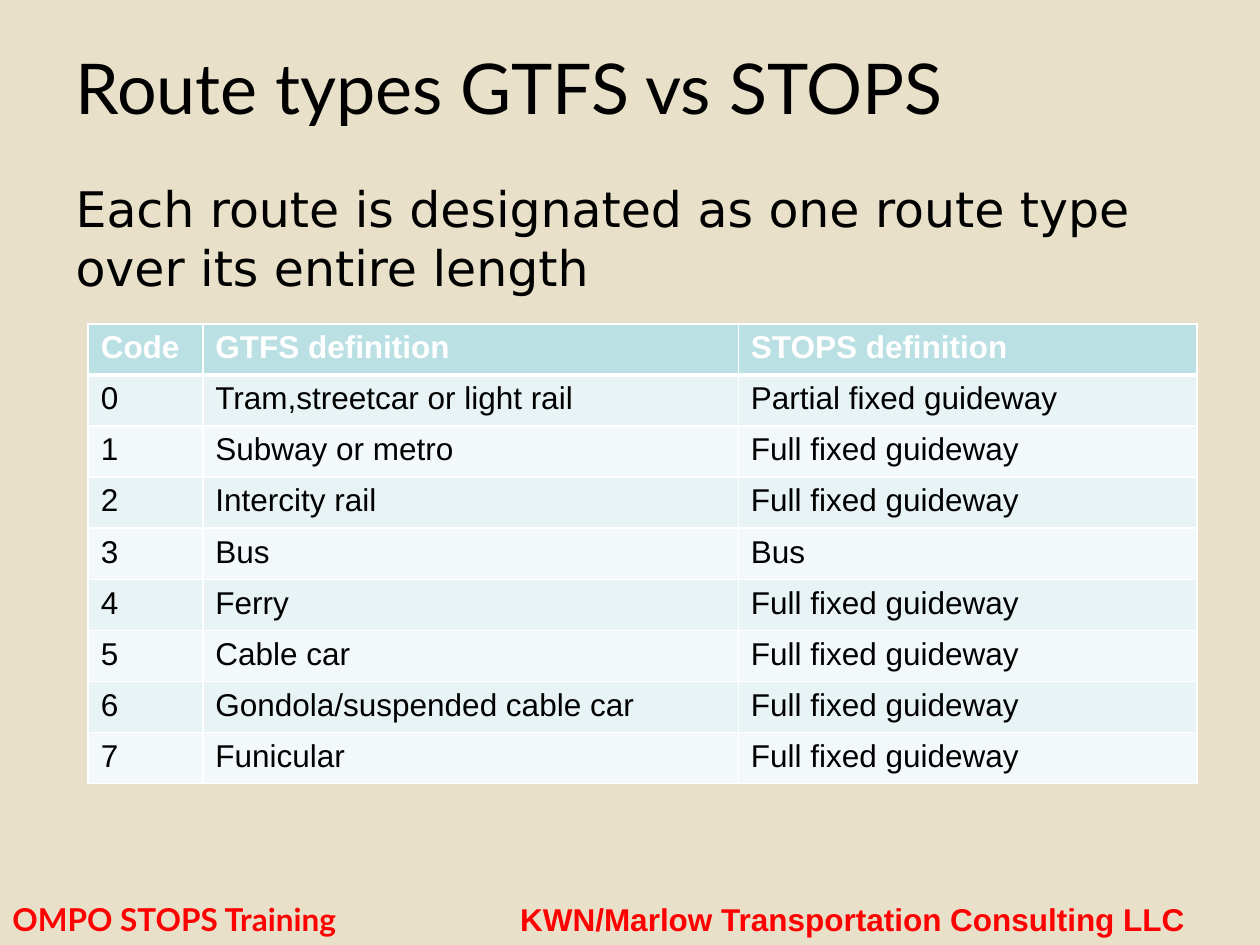
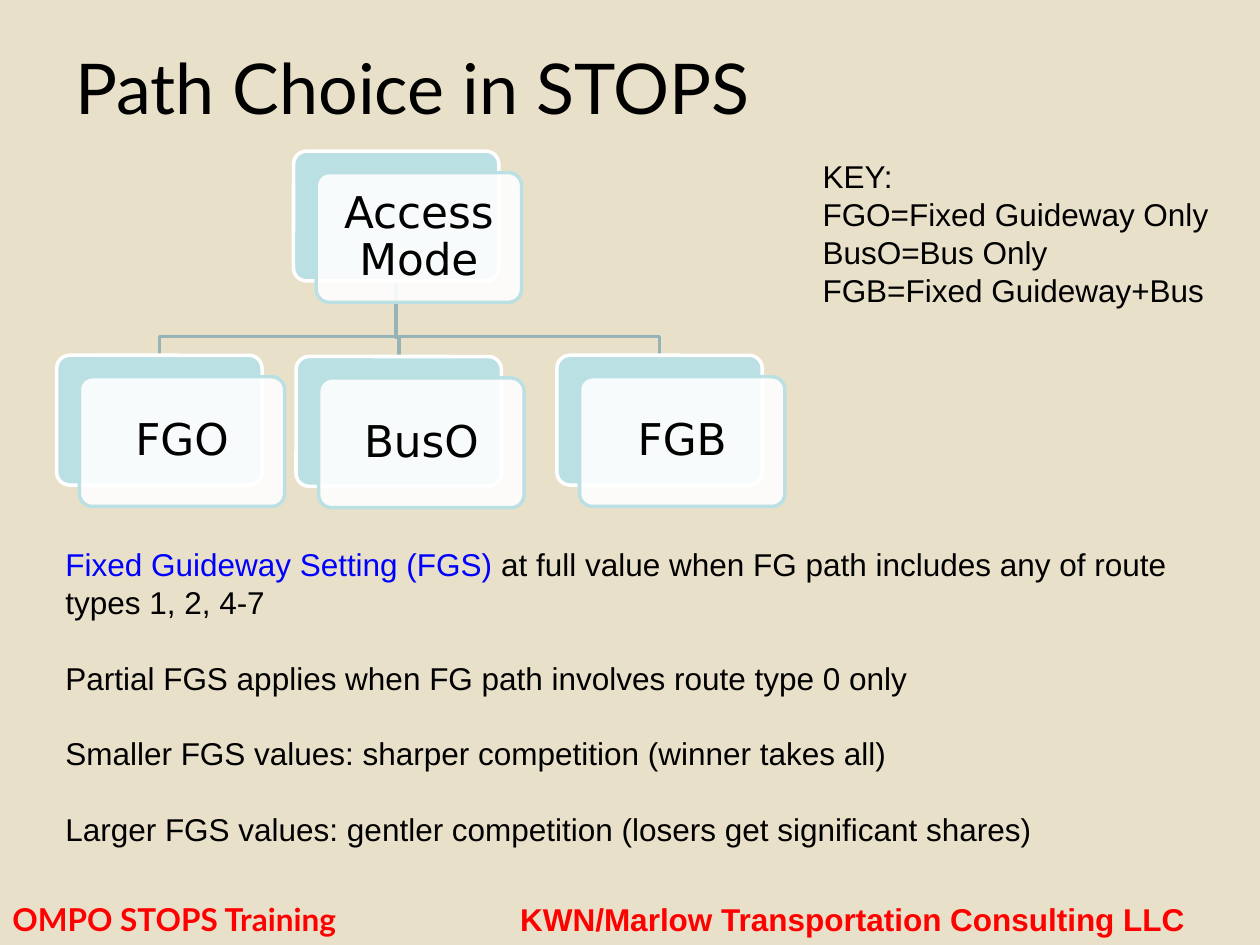
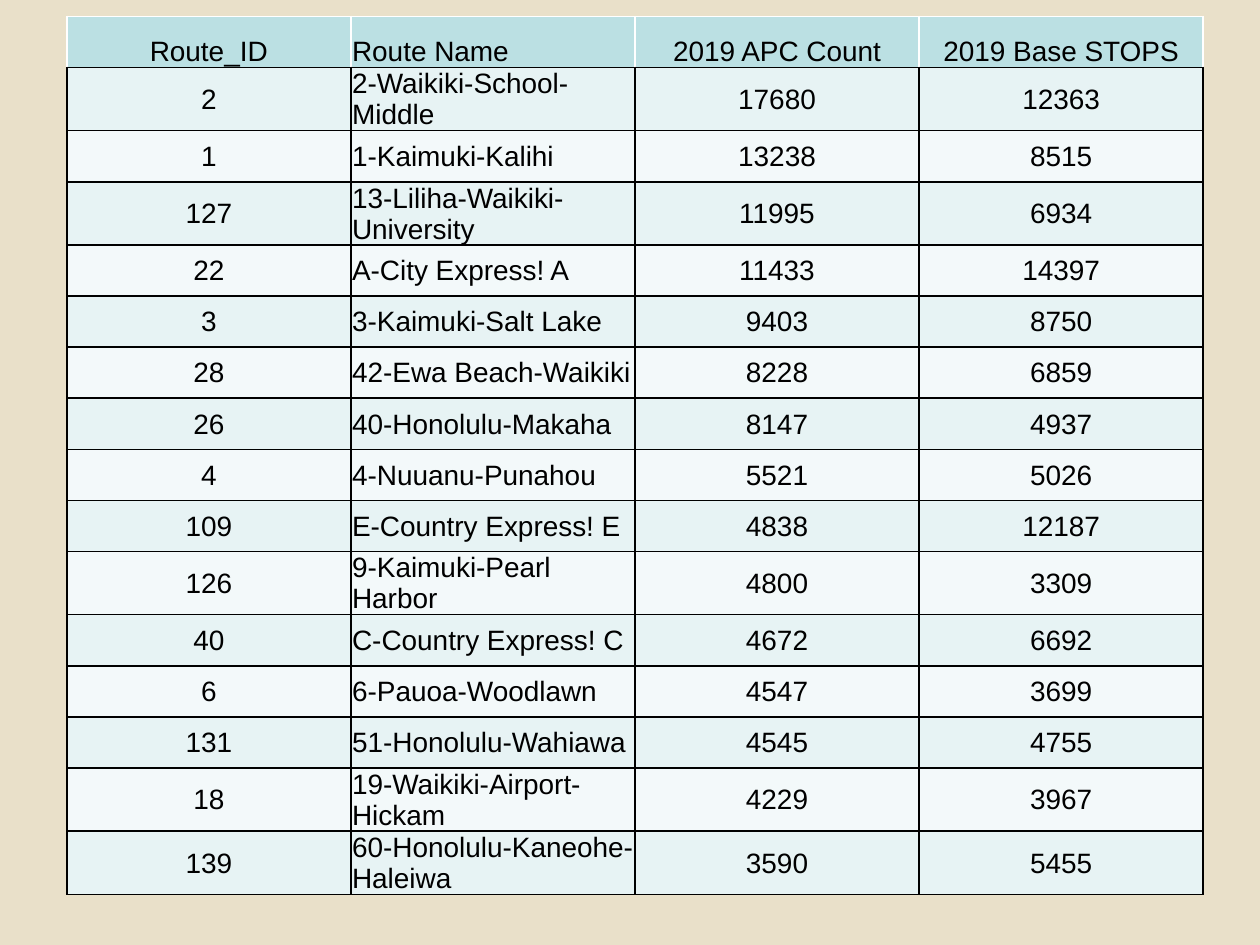
import lxml.etree
import pptx
import pptx.dml.color
import pptx.enum.shapes
import pptx.enum.text
import pptx.oxml.ns
import pptx.util

Inches = pptx.util.Inches
Pt = pptx.util.Pt
RGBColor = pptx.dml.color.RGBColor
Align = pptx.enum.text.PP_ALIGN
Anchor = pptx.enum.text.MSO_ANCHOR
qn = pptx.oxml.ns.qn

# Colours
SAND = RGBColor(0xE9, 0xE0, 0xC9)
BLACK = RGBColor(0, 0, 0)
WHITE = RGBColor(0xFF, 0xFF, 0xFF)
RED = RGBColor(0xFF, 0, 0)
BLUE = RGBColor(0, 0, 0xFF)
AQUA = RGBColor(0xBB, 0xE0, 0xE3)
BAND_DARK = RGBColor(0xE7, 0xF3, 0xF4)
BAND_LIGHT = RGBColor(0xF3, 0xF9, 0xFA)
TREE_LINE = RGBColor(0x96, 0xB3, 0xB6)

# Text formats
TITLE = {"name": "Lato", "size": Pt(40), "color": BLACK}
LEAD = {"name": "DejaVu Sans", "size": Pt(28), "color": BLACK}
CARD = {"name": "DejaVu Sans", "size": Pt(25), "color": BLACK}
NOTE = {"name": "Arial", "size": Pt(18), "color": BLACK}
TERM = {**NOTE, "color": BLUE}
TABLE_HEAD = {**NOTE, "color": WHITE, "bold": True}
TABLE_CELL = {**NOTE, "bold": False}
ROUTE_CELL = {**TABLE_CELL, "size": Pt(16)}
FOOTER_LEFT = {"name": "Lato", "size": Pt(18), "color": RED, "bold": True}
FOOTER_RIGHT = {**FOOTER_LEFT, "name": "Arial"}

# Content
FOOTER = [("OMPO STOPS Training\t", FOOTER_LEFT),
          ("KWN/Marlow Transportation Consulting LLC", FOOTER_RIGHT)]
ROUTE_TYPES_TITLE = "Route types GTFS vs STOPS"
ROUTE_TYPES_LEAD = "Each route is designated as one route type over its entire length"
ROUTE_TYPES = [
    ("Code", "GTFS definition", "STOPS definition"),
    ("0", "Tram,streetcar or light rail", "Partial fixed guideway"),
    ("1", "Subway or metro", "Full fixed guideway"),
    ("2", "Intercity rail", "Full fixed guideway"),
    ("3", "Bus", "Bus"),
    ("4", "Ferry", "Full fixed guideway"),
    ("5", "Cable car", "Full fixed guideway"),
    ("6", "Gondola/suspended cable car", "Full fixed guideway"),
    ("7", "Funicular", "Full fixed guideway"),
]
PATH_TITLE = "Path Choice in STOPS"
ROOT = ("Access Mode", 2.33, 1.2)
CHOICES = [("FGO", 0.45, 2.82), ("BusO", 2.35, 2.83), ("FGB", 4.42, 2.82)]
KEY = ["KEY:", "FGO=Fixed Guideway Only", "BusO=Bus Only", "FGB=Fixed Guideway+Bus"]
SETTINGS = [
    [("Fixed Guideway Setting (FGS) ", TERM),
     ("at full value when FG path includes any of route types 1, 2, 4-7", NOTE)],
    [("Partial FGS applies when FG path involves route type 0 only", NOTE)],
    [("Smaller FGS values: sharper competition (winner takes all)", NOTE)],
    [("Larger FGS values: gentler competition (losers get significant shares)", NOTE)],
]
ROUTE_COUNTS = [
    ("Route_ID", "Route Name", "2019 APC Count", "2019 Base STOPS"),
    ("2", "2-Waikiki-School-Middle", "17680", "12363"),
    ("1", "1-Kaimuki-Kalihi", "13238", "8515"),
    ("127", "13-Liliha-Waikiki-University", "11995", "6934"),
    ("22", "A-City Express! A", "11433", "14397"),
    ("3", "3-Kaimuki-Salt Lake", "9403", "8750"),
    ("28", "42-Ewa Beach-Waikiki", "8228", "6859"),
    ("26", "40-Honolulu-Makaha", "8147", "4937"),
    ("4", "4-Nuuanu-Punahou", "5521", "5026"),
    ("109", "E-Country Express! E", "4838", "12187"),
    ("126", "9-Kaimuki-Pearl Harbor", "4800", "3309"),
    ("40", "C-Country Express! C", "4672", "6692"),
    ("6", "6-Pauoa-Woodlawn", "4547", "3699"),
    ("131", "51-Honolulu-Wahiawa", "4545", "4755"),
    ("18", "19-Waikiki-Airport-Hickam", "4229", "3967"),
    ("139", "60-Honolulu-Kaneohe-Haleiwa", "3590", "5455"),
]

# Measures in inches
ROW_HEIGHT = 3.65 / 9
CARD_WIDTH, CARD_HEIGHT = 1.63, 1.03
CARD_SHIFT_X, CARD_SHIFT_Y = 0.18, 0.17
BEND_RISE = 0.15

# Line heights
NOTE_LINE = Pt(21.6)
ROUTE_LINE = Pt(17.7)


def set_values(target, values):
    for name, value in values.items():
        setattr(target, name, value)


def add_spans(para, spans):
    for text, style in spans:
        span = para.add_run()
        span.text = text
        for name, value in style.items():
            if name == "color":
                span.font.color.rgb = value
            else:
                setattr(span.font, name, value)


def move(shape, left, top, width, height):
    set_values(shape, {"left": Inches(left), "top": Inches(top),
                       "width": Inches(width), "height": Inches(height)})


def add_box(page, place, paragraphs, wrap=True, **para_format):
    box = page.shapes.add_textbox(*map(Inches, place))
    frame = box.text_frame
    frame.word_wrap = wrap
    gap = para_format.pop("gap", Pt(0))
    for index, spans in enumerate(paragraphs):
        para = frame.add_paragraph() if index else frame.paragraphs[0]
        set_values(para, para_format)
        para.space_before = gap if index else Pt(0)
        add_spans(para, spans)
    return box


def add_title(page, text):
    title = page.shapes.title
    move(title, 0.5, 0.3, 9, 0.9)
    set_values(title.text_frame, {"vertical_anchor": Anchor.TOP,
                                  "auto_size": pptx.enum.text.MSO_AUTO_SIZE.NONE})
    para = title.text_frame.paragraphs[0]
    para.alignment = Align.LEFT
    add_spans(para, [(text, TITLE)])


def add_footer(page):
    box = add_box(page, (0, 7.09, 10, 0.4), [FOOTER])
    properties = box.text_frame.paragraphs[0]._p.get_or_add_pPr()
    tabs = lxml.etree.SubElement(properties, qn("a:tabLst"))
    lxml.etree.SubElement(tabs, qn("a:tab"), pos=str(Inches(4.03)), algn="l")


def set_borders(cell, edges):
    properties = cell._tc.get_or_add_tcPr()
    for side in "LRTB":
        color, points = edges[side]
        line = lxml.etree.SubElement(properties, qn("a:ln" + side), w=str(Pt(points)))
        fill = lxml.etree.SubElement(line, qn("a:solidFill"))
        lxml.etree.SubElement(fill, qn("a:srgbClr"), val=str(color))


def add_grid(page, left, top, widths, rows, border, head_edges, style, head_style,
             centred=(), cell_format=None, head_format=None, line_height=None):
    place = (left, top, sum(widths), ROW_HEIGHT * len(rows))
    table = page.shapes.add_table(len(rows), len(widths), *map(Inches, place)).table
    for column, width in zip(table.columns, widths):
        column.width = Inches(width)
    for row_index, row in enumerate(rows):
        is_head = row_index == 0
        edges = dict.fromkeys("LRTB", border)
        if is_head:
            edges.update(head_edges)
        elif row_index == 1:
            edges["T"] = head_edges["B"]
        for column_index, text in enumerate(row):
            cell = table.cell(row_index, column_index)
            set_borders(cell, edges)
            cell.fill.solid()
            band = BAND_DARK if row_index % 2 else BAND_LIGHT
            cell.fill.fore_color.rgb = AQUA if is_head else band
            set_values(cell, cell_format or {})
            if is_head:
                set_values(cell, head_format or {})
            para = cell.text_frame.paragraphs[0]
            para.alignment = Align.CENTER if column_index in centred else Align.LEFT
            para.line_spacing = line_height
            span_style = head_style if is_head else style
            add_spans(para, [(text, span_style)])
            # The paragraph end takes the text size, so that rows stay tight
            lxml.etree.SubElement(para._p, qn("a:endParaRPr"),
                                  sz=str(int(span_style["size"].pt * 100)))


def add_branch(page, choice):
    """Draw the bent line from the root card to a choice card."""
    _, root_left, root_top = ROOT
    _, left, top = choice
    start, end = root_left + CARD_WIDTH / 2, left + CARD_WIDTH / 2
    bend = top - BEND_RISE
    points = [(start, root_top + CARD_HEIGHT), (start, bend), (end, bend), (end, top)]
    points = [(Inches(x), Inches(y)) for x, y in points]
    builder = page.shapes.build_freeform(*points[0])
    builder.add_line_segments(points[1:], close=False)
    branch = builder.convert_to_shape()
    branch.shadow.inherit = False
    branch.fill.background()
    branch.line.color.rgb = TREE_LINE
    branch.line.width = Pt(2)


def add_plate(page, left, top, fill, line):
    plate = page.shapes.add_shape(
        pptx.enum.shapes.MSO_SHAPE.ROUNDED_RECTANGLE,
        *map(Inches, (left, top, CARD_WIDTH, CARD_HEIGHT)))
    plate.adjustments[0] = 0.1
    plate.shadow.inherit = False
    plate.fill.solid()
    plate.fill.fore_color.rgb = fill
    plate.line.color.rgb = line
    plate.line.width = Pt(2)
    return plate


def add_card(page, text, left, top):
    add_plate(page, left, top, AQUA, WHITE)
    front = add_plate(page, left + CARD_SHIFT_X, top + CARD_SHIFT_Y, WHITE, AQUA)
    color = front._element.spPr.find(qn("a:solidFill")).find(qn("a:srgbClr"))
    lxml.etree.SubElement(color, qn("a:alpha"), val="90000")
    frame = front.text_frame
    set_values(frame, {"word_wrap": True, "vertical_anchor": Anchor.MIDDLE})
    set_values(frame, dict.fromkeys(
        ("margin_left", "margin_right", "margin_top", "margin_bottom"), Inches(0.1)))
    para = frame.paragraphs[0]
    set_values(para, {"alignment": Align.CENTER, "line_spacing": 0.9})
    add_spans(para, [(text, CARD)])


def build_route_types(deck):
    page = deck.slides.add_slide(deck.slide_layouts[1])
    add_title(page, ROUTE_TYPES_TITLE)
    body = page.placeholders[1]
    move(body, 0.5, 1.37, 9.25, 5.49)
    para = body.text_frame.paragraphs[0]
    properties = para._p.get_or_add_pPr()
    properties.set("marL", "0")
    properties.set("indent", "0")
    lxml.etree.SubElement(properties, qn("a:buNone"))
    para.space_before = Pt(0)
    add_spans(para, [(ROUTE_TYPES_LEAD, LEAD)])
    add_grid(page, 0.7, 2.57, [0.91, 4.25, 3.64], ROUTE_TYPES, (WHITE, 1),
             {"B": (WHITE, 3)}, TABLE_CELL, TABLE_HEAD)
    add_footer(page)


def build_path_choice(deck):
    page = deck.slides.add_slide(deck.slide_layouts[5])
    add_title(page, PATH_TITLE)
    for choice in CHOICES:
        add_branch(page, choice)
    for card in [ROOT, *CHOICES]:
        add_card(page, *card)
    add_box(page, (6.43, 1.2, 3.29, 1.31), [[(line, NOTE)] for line in KEY],
            wrap=False, line_spacing=NOTE_LINE)
    add_box(page, (0.42, 4.28, 9.08, 2.52), SETTINGS,
            line_spacing=NOTE_LINE, gap=NOTE_LINE)
    add_footer(page)


def build_route_counts(deck):
    page = deck.slides.add_slide(deck.slide_layouts[6])
    margins = dict.fromkeys(("margin_left", "margin_right", "margin_top"), Inches(0.01))
    head_edges = {**dict.fromkeys("LRT", (WHITE, 1)), "B": (BLACK, 1)}
    add_grid(page, 0.53, 0.13, [2.255] * 4, ROUTE_COUNTS, (BLACK, 1), head_edges,
             ROUTE_CELL, ROUTE_CELL, centred=(0, 2, 3),
             cell_format={**margins, "margin_bottom": 0,
                          "vertical_anchor": Anchor.MIDDLE},
             head_format={"vertical_anchor": Anchor.BOTTOM},
             line_height=ROUTE_LINE)


def main():
    deck = pptx.Presentation()
    set_values(deck, {"slide_width": Inches(10), "slide_height": Inches(7.5)})
    background = deck.slide_master.background.fill
    background.solid()
    background.fore_color.rgb = SAND
    build_route_types(deck)
    build_path_choice(deck)
    build_route_counts(deck)
    deck.save("out.pptx")


if __name__ == "__main__":
    main()
